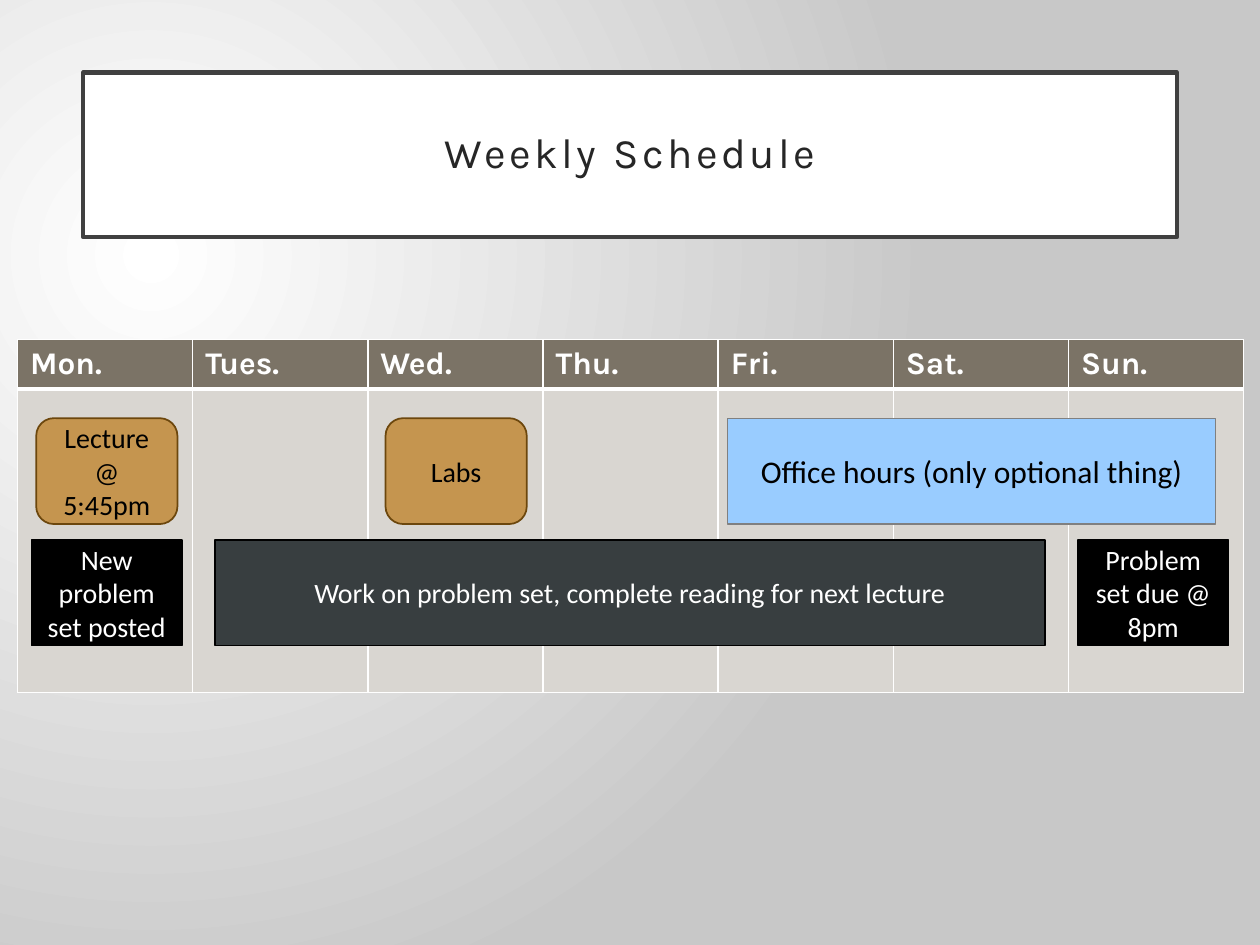
import pptx
import pptx.util
import pptx.dml.color
import pptx.enum.shapes
import pptx.enum.text
import pptx.oxml
import pptx.oxml.ns
import lxml.etree

Pt = pptx.util.Pt
qn = pptx.oxml.ns.qn
SHAPES = pptx.enum.shapes.MSO_SHAPE
ALIGN = pptx.enum.text.PP_ALIGN
COLORS = {
    name: pptx.dml.color.RGBColor.from_string(value)
    for name, value in {
        "white": "FFFFFF", "black": "000000", "backdrop": "C8C8C8",
        "frame": "404040", "title": "262626", "header": "7B7366",
        "body": "D9D6D1", "tan": "C5954F", "brown": "6C470D",
        "slate": "383E40", "sky": "99CCFF", "gray": "808080",
    }.items()
}


def write_text(frame, text, font="Calibri", size=16, color="black",
               bold=False, align=ALIGN.CENTER, tracking=0):
    paragraph = frame.paragraphs[0]
    paragraph.alignment = align
    run = paragraph.add_run()
    run.text = text
    run.font.name = font
    run.font.size = Pt(size)
    run.font.bold = bold
    run.font.color.rgb = COLORS[color]
    if tracking:
        run.font._element.set("spc", str(tracking * 100))
    return paragraph


def paint(shape, fill, line, width):
    shape.fill.solid()
    shape.fill.fore_color.rgb = COLORS[fill]
    shape.line.color.rgb = COLORS[line]
    shape.line.width = Pt(width)
    shape.shadow.inherit = False


presentation = pptx.Presentation()
presentation.slide_width = Pt(720)
presentation.slide_height = Pt(540)
slide = presentation.slides.add_slide(presentation.slide_layouts[5])

# Background: circular gradient centred at the upper left
background = slide.background.fill
background.gradient()
for stop, color, position in zip(background.gradient_stops, ("white", "backdrop"), (0, 1)):
    stop.color.rgb = COLORS[color]
    stop.position = position
gradient = slide._element.find(".//" + qn("a:gradFill"))
gradient.remove(gradient.find(qn("a:lin")))
circle = lxml.etree.SubElement(gradient, qn("a:path"), path="circle")
lxml.etree.SubElement(circle, qn("a:fillToRect"),
                      l="50000", t="55000", r="125000", b="100000")

# Title
title = slide.shapes.title
title.left, title.top, title.width, title.height = Pt(47.5), Pt(41.5), Pt(625), Pt(94)
paint(title, "white", "frame", 2.5)
frame = title.text_frame
frame.word_wrap = True
frame.auto_size = pptx.enum.text.MSO_AUTO_SIZE.NONE
frame.vertical_anchor = pptx.enum.text.MSO_ANCHOR.MIDDLE
frame.margin_left = frame.margin_right = frame.margin_top = frame.margin_bottom = Pt(14.4)
write_text(frame, "Weekly Schedule", font="Karla", size=24, color="title",
           tracking=2).line_spacing = 0.9

# Week table
days = ["Mon.", "Tues.", "Wed.", "Thu.", "Fri.", "Sat.", "Sun."]
column_width = 100.1
row_heights = [28, 173.5]
table = slide.shapes.add_table(
    2, len(days), Pt(10), Pt(194), Pt(column_width * len(days)), Pt(sum(row_heights))
).table
for row, height in zip(table.rows, row_heights):
    row.height = Pt(height)
for index, day in enumerate(days):
    table.columns[index].width = Pt(column_width)
    write_text(table.cell(0, index).text_frame, day, font="Karla", size=18,
               color="white", bold=True, align=ALIGN.LEFT)
    for row_index, fill in enumerate(("header", "body")):
        cell = table.cell(row_index, index)
        properties = cell._tc.get_or_add_tcPr()
        # A thick rule separates the header from the body
        thick_side = ("lnB", "lnT")[row_index]
        for side in ("lnL", "lnR", "lnT", "lnB"):
            width = Pt(3 if side == thick_side else 1)
            border = lxml.etree.SubElement(properties, qn("a:" + side), w=str(width))
            solid = lxml.etree.SubElement(border, qn("a:solidFill"))
            lxml.etree.SubElement(solid, qn("a:srgbClr"), val=str(COLORS["white"]))
        cell.fill.solid()
        cell.fill.fore_color.rgb = COLORS[fill]

# Activities: text, shape, left, top, width, fill, line, line width, text colour, size
class_top, problem_top, activity_height = 239, 308.5, 60.5
activities = [
    ("Problem set due @ 8pm", SHAPES.RECTANGLE, 616, problem_top, 86,
     "black", "black", 1, "white", 16),
    ("New problem set posted", SHAPES.RECTANGLE, 18, problem_top, 86,
     "black", "black", 1, "white", 16),
    ("Lecture @ 5:45pm", SHAPES.ROUNDED_RECTANGLE, 20.7, class_top, 80.7,
     "tan", "brown", 1, "black", 16),
    ("Labs", SHAPES.ROUNDED_RECTANGLE, 220.3, class_top, 80.7,
     "tan", "brown", 1, "black", 16),
    ("Work on problem set, complete reading for next lecture", SHAPES.RECTANGLE,
     123, problem_top, 474, "slate", "black", 1, "white", 16),
    ("Office hours (only optional thing)", SHAPES.RECTANGLE, 415.8, class_top, 278.8,
     "sky", "gray", 0.75, "black", 18),
]
for text, kind, left, top, width, fill, line, line_width, color, size in activities:
    shape = slide.shapes.add_shape(kind, Pt(left), Pt(top), Pt(width), Pt(activity_height))
    paint(shape, fill, line, line_width)
    shape.text_frame.word_wrap = True
    shape.text_frame.vertical_anchor = pptx.enum.text.MSO_ANCHOR.MIDDLE
    write_text(shape.text_frame, text, size=size, color=color)

presentation.save("out.pptx")
